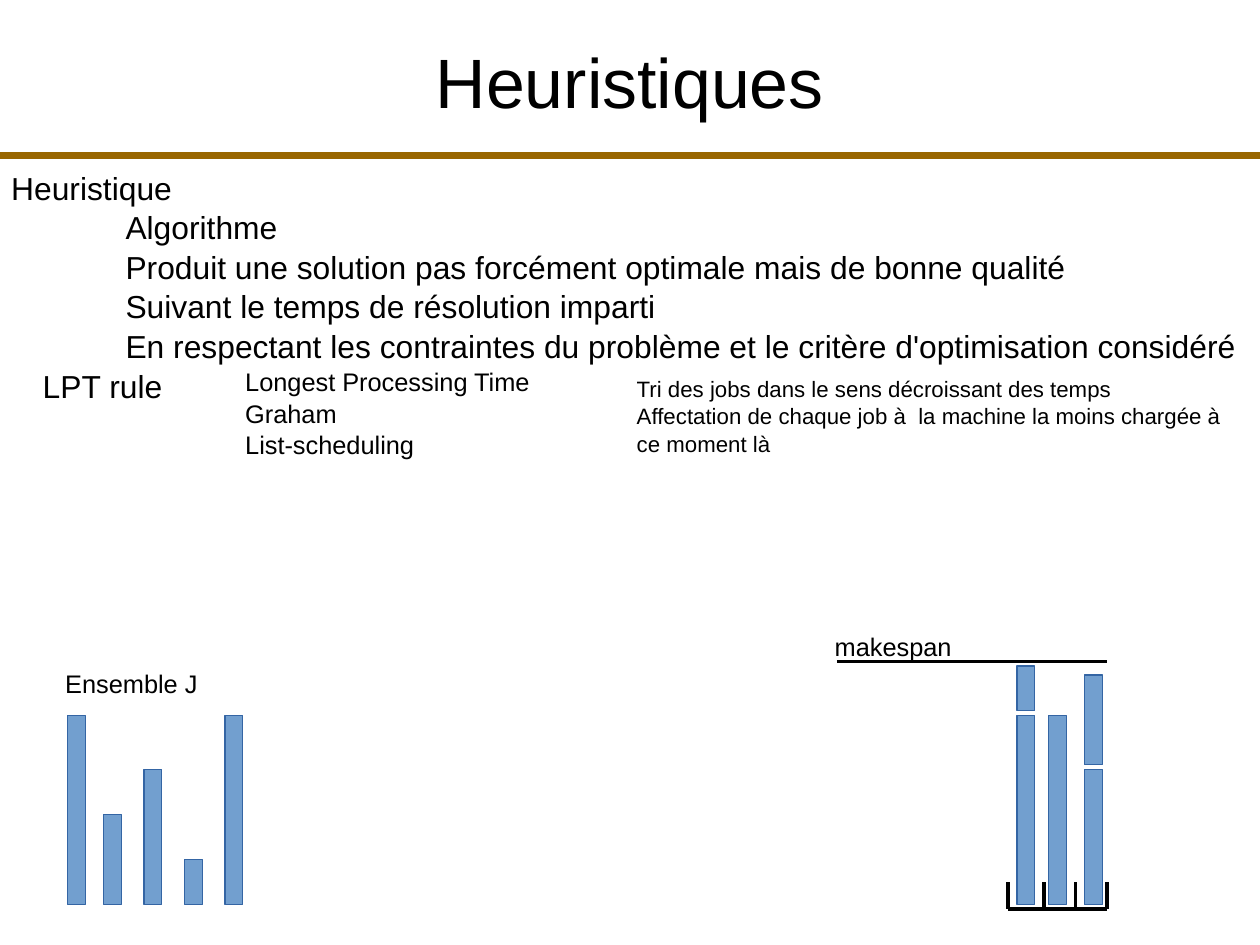
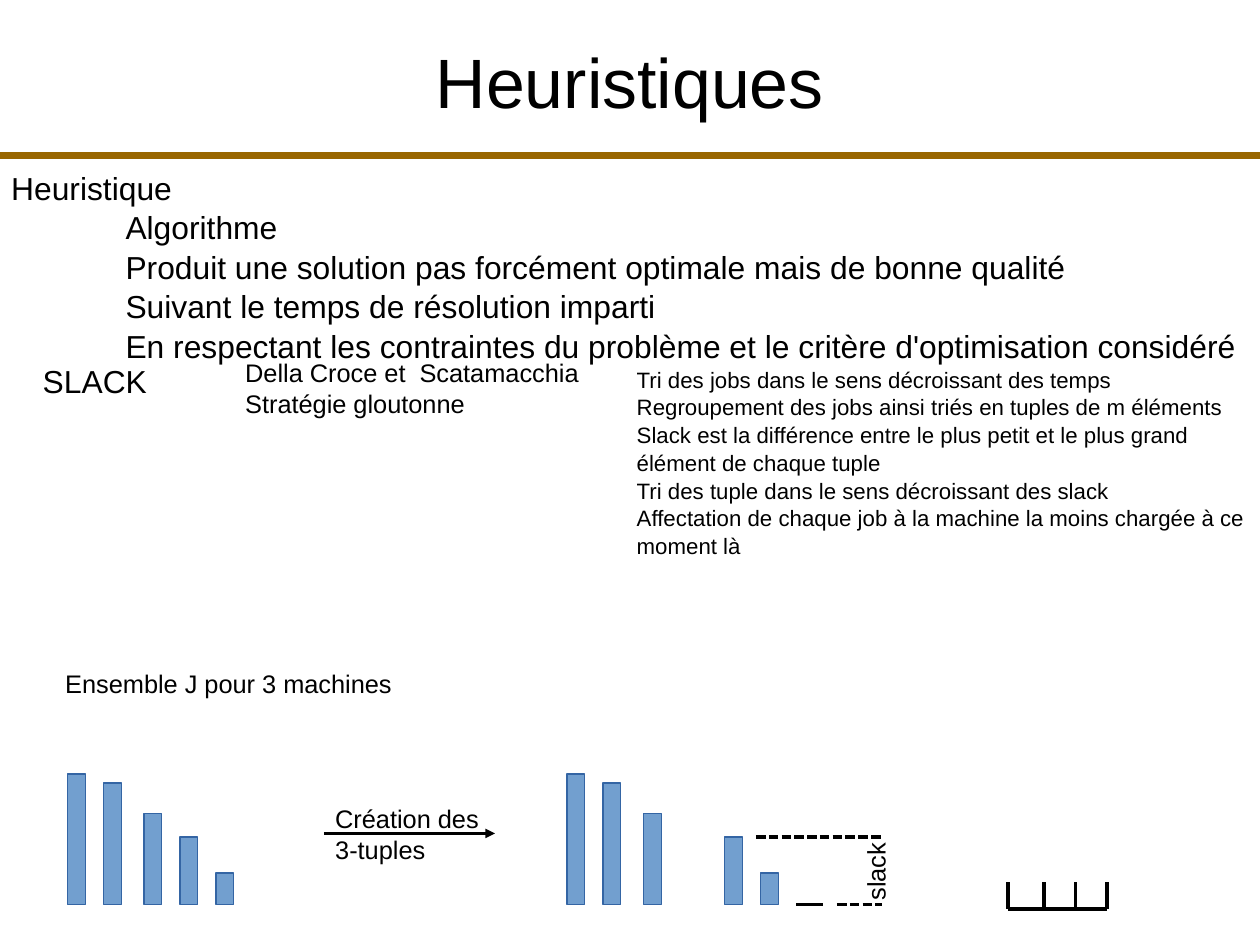
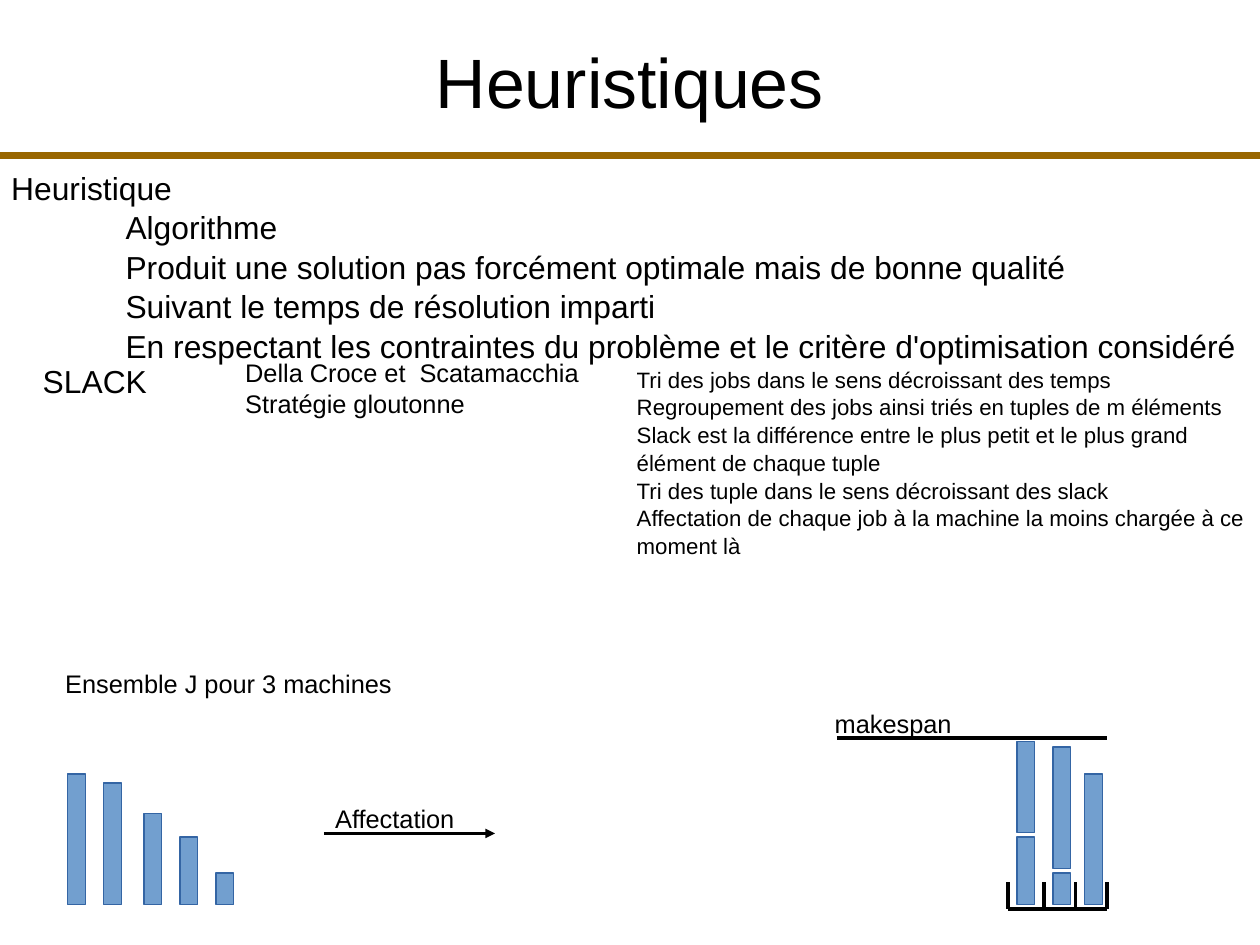
"""Build three slides on scheduling heuristics, laid out on a 28 by 21 centimetre grid."""
from lxml import etree
from pptx import Presentation
from pptx.dml.color import RGBColor
from pptx.enum.dml import MSO_LINE
from pptx.enum.shapes import MSO_CONNECTOR, MSO_SHAPE
from pptx.enum.text import MSO_ANCHOR, PP_ALIGN
from pptx.oxml.ns import qn
from pptx.util import Cm, Pt

STRAIGHT, RECTANGLE = MSO_CONNECTOR.STRAIGHT, MSO_SHAPE.RECTANGLE
TOP, MIDDLE = MSO_ANCHOR.TOP, MSO_ANCHOR.MIDDLE
LEFT, CENTER = PP_ALIGN.LEFT, PP_ALIGN.CENTER
DASHED = MSO_LINE.SQUARE_DOT

COLORS = {"text": "000000", "rule": "996600", "bar": "729FCF", "bar_edge": "3465A4"}
COLUMNS, ROWS = 28, 21
BASELINE = 20.1
BAR_WIDTH, BAR_GAP = 0.4, 0.1
WALLS = [22.4, 23.2, 23.9, 24.6]
WALL_TOP, FLOOR = 19.6, 20.2
ARROW_ROW = 18.52

DEFINITION = [
    "Heuristique",
    "Algorithme",
    "Produit une solution pas forcément optimale mais de bonne qualité",
    "Suivant le temps de résolution imparti",
    "En respectant les contraintes du problème et le critère d'optimisation considéré",
]
LPT = {
    "name": "LPT rule",
    "row": 7.98,
    "origin_row": 7.98,
    "origin": ["Longest Processing Time", "Graham", "List-scheduling"],
    "steps_row": 8.18,
    "steps": [
        "Tri des jobs dans le sens décroissant des temps",
        "Affectation de chaque job à  la machine la moins chargée à ce moment là",
    ],
    "jobs_label": "Ensemble J",
    "jobs": [(1.5, [4.2]), (2.3, [2]), (3.2, [3]), (4.1, [1]), (5, [4.2])],
}
SLACK = {
    "name": "SLACK",
    "row": 7.87,
    "origin_row": 7.77,
    "origin": ["Della Croce et  Scatamacchia", "Stratégie gloutonne"],
    "steps_row": 7.98,
    "steps": [
        "Tri des jobs dans le sens décroissant des temps",
        "Regroupement des jobs ainsi triés en tuples de m éléments",
        "Slack est la différence entre le plus petit et le plus grand élément de chaque tuple",
        "Tri des tuple dans le sens décroissant des slack",
        "Affectation de chaque job à la machine la moins chargée à ce moment là",
    ],
    "jobs_label": "Ensemble J pour 3 machines",
    "jobs": [(1.5, [2.9]), (2.3, [2.7]), (3.2, [2.02]), (4, [1.5]), (4.8, [0.7])],
}
TUPLES = [(12.6, [2.9]), (13.4, [2.7]), (14.3, [2.02]), (16.1, [1.5]), (16.9, [0.7])]
SLIDES = [
    {"rule": LPT, "makespan": 14.7, "arrow": [],
     "stacks": [(22.6, [4.2, 1]), (23.3, [4.2]), (24.1, [3, 2])]},
    {"rule": SLACK, "makespan": None, "arrow": ["Création des", "3-tuples"],
     "stacks": TUPLES},
    {"rule": SLACK, "makespan": 16.4, "arrow": ["Affectation"],
     "stacks": [(22.6, [1.5, 2.02]), (23.4, [0.7, 2.7]), (24.1, [2.9])]},
]


def write_text(slide, lines, left, top, width, height, size=16, shape=None,
               align=LEFT, anchor=TOP, inset=(0.25, 0.13), indent=0, rotation=0):
    """Write one paragraph per line in a new text box or in the given placeholder."""
    box = [Cm(length) for length in (left, top, width, height)]
    shape = shape or slide.shapes.add_textbox(*box)
    shape.left, shape.top, shape.width, shape.height = box
    shape.rotation = rotation
    frame = shape.text_frame
    frame.word_wrap = True
    frame.vertical_anchor = anchor
    frame.margin_left = frame.margin_right = Cm(inset[0])
    frame.margin_top = frame.margin_bottom = Cm(inset[1])
    frame.text = "\n".join(lines)
    for index, paragraph in enumerate(frame.paragraphs):
        if indent and index:
            paragraph._p.get_or_add_pPr().set("marL", str(Cm(indent)))
        paragraph.alignment = align
        paragraph.line_spacing = 1.04
        paragraph.font.size = Pt(size)
        paragraph.font.name = "Arial"
        paragraph.font.color.rgb = RGBColor.from_string(COLORS["text"])


def draw_line(slide, start, end, color="text", weight=0, dash=None, arrow=False):
    """Draw a straight line between two grid points."""
    line = slide.shapes.add_connector(STRAIGHT, *[Cm(length) for length in start + end])
    line.line.color.rgb = RGBColor.from_string(COLORS[color])
    line.line.width = Pt(weight)
    if dash:
        line.line.dash_style = dash
    if arrow:
        etree.SubElement(line.line._get_or_add_ln(), qn("a:tailEnd"), type="triangle")
    etree.SubElement(line._element.spPr, qn("a:effectLst"))


presentation = Presentation()
presentation.slide_width, presentation.slide_height = Cm(COLUMNS), Cm(ROWS)
title_only = presentation.slide_layouts[5]

for content in SLIDES:
    rule = content["rule"]
    slide = presentation.slides.add_slide(title_only)
    write_text(slide, ["Heuristiques"], 1.4, 0.58, COLUMNS - 2.8, 2.36, size=44,
               shape=slide.shapes.title, align=CENTER, anchor=MIDDLE, inset=(0, 0))
    draw_line(slide, (0, 3.45), (COLUMNS, 3.45), color="rule", weight=4.5)
    write_text(slide, DEFINITION, 0, 3.58, COLUMNS, 6.05, size=20, indent=2.54)
    write_text(slide, [rule["name"]], 0.7, rule["row"], 3.9, 1.22, size=20)
    write_text(slide, rule["origin"], 5.2, rule["origin_row"], 8.5, 2.54)
    write_text(slide, rule["steps"], 13.9, rule["steps_row"], 14.1, 5.64, size=14)
    write_text(slide, [rule["jobs_label"]], 1.2, 14.68, 7.8, 1.02)

    for wall in WALLS:
        draw_line(slide, (wall, WALL_TOP), (wall, FLOOR))
    draw_line(slide, (WALLS[0], FLOOR), (WALLS[-1], FLOOR))

    for left, heights in rule["jobs"] + content["stacks"]:
        bottom = BASELINE
        for height in heights:
            bar = slide.shapes.add_shape(RECTANGLE, Cm(left), Cm(bottom - height),
                                         Cm(BAR_WIDTH), Cm(height))
            bar.shadow.inherit = False
            bar.fill.solid()
            bar.fill.fore_color.rgb = RGBColor.from_string(COLORS["bar"])
            bar.line.color.rgb = RGBColor.from_string(COLORS["bar_edge"])
            bar.line.width = Pt(0)
            bottom -= height + BAR_GAP

    if content["makespan"]:
        row = content["makespan"]
        draw_line(slide, (18.6, row), (WALLS[-1], row))
        write_text(slide, ["makespan"], 18.3, row - 0.83, 3.2, 1.78)
    if content["arrow"]:
        draw_line(slide, (7.2, ARROW_ROW), (11, ARROW_ROW), arrow=True)
        write_text(slide, content["arrow"], 7.2, ARROW_ROW - 0.84, 4.2, 1.78)
    if content["stacks"] is TUPLES:
        draw_line(slide, (17.7, BASELINE), (18.3, BASELINE))
        draw_line(slide, (16.8, 18.6), (19.6, 18.6), dash=DASHED)
        draw_line(slide, (18.6, BASELINE), (19.6, BASELINE), dash=DASHED)
        write_text(slide, ["slack"], 18.47, 18.75, 2, 1.02, rotation=270)

presentation.save("out.pptx")
